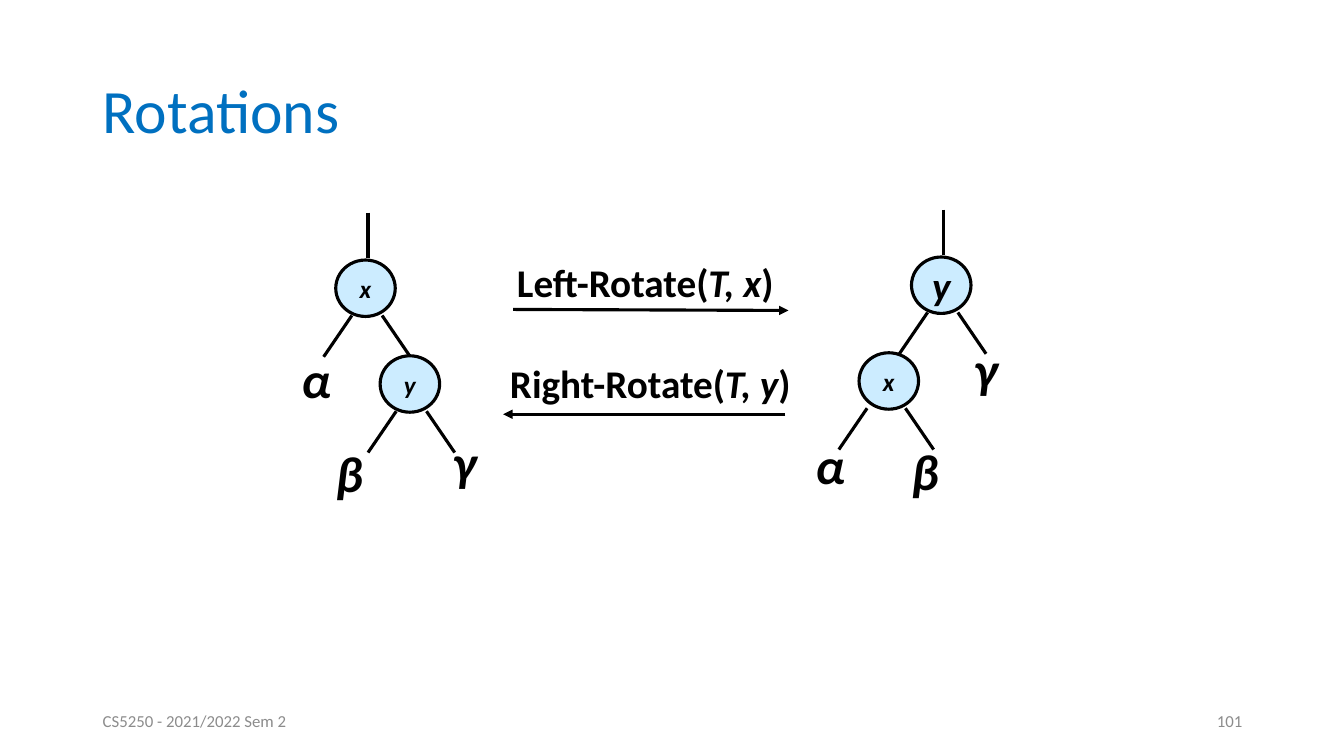
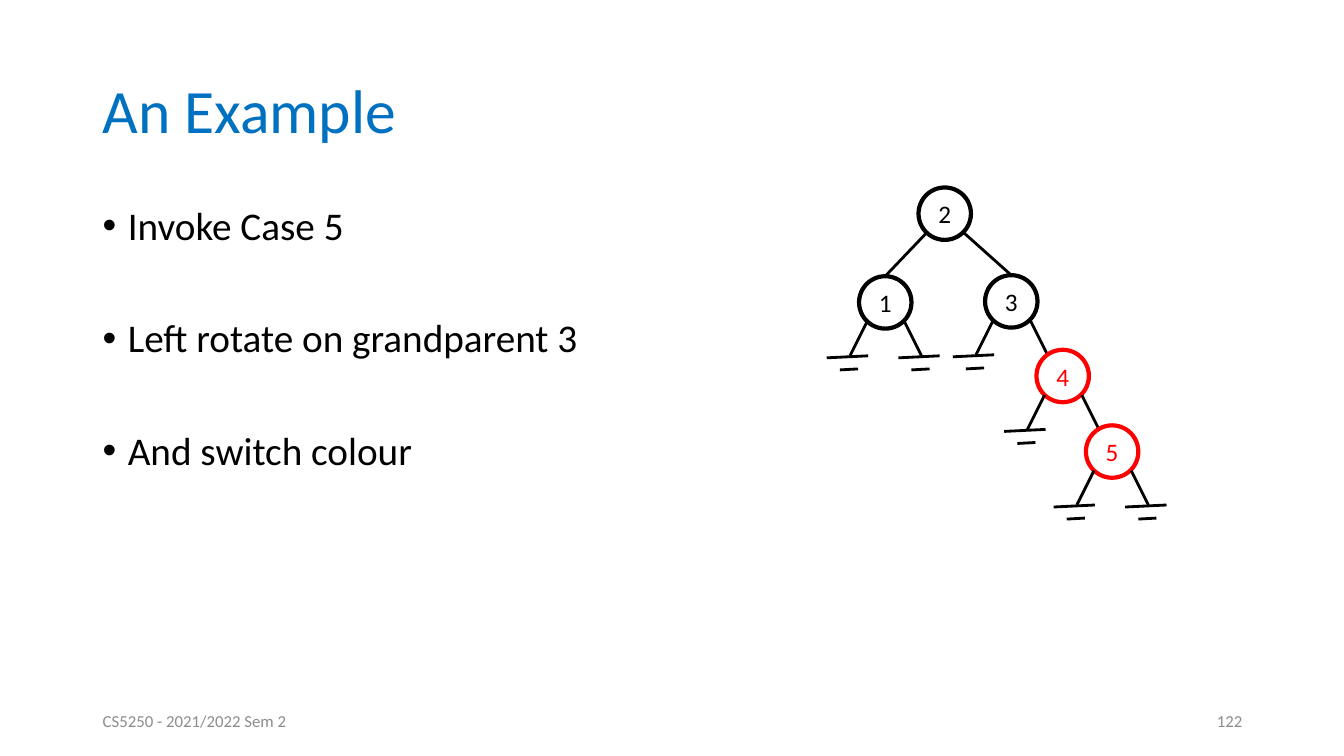
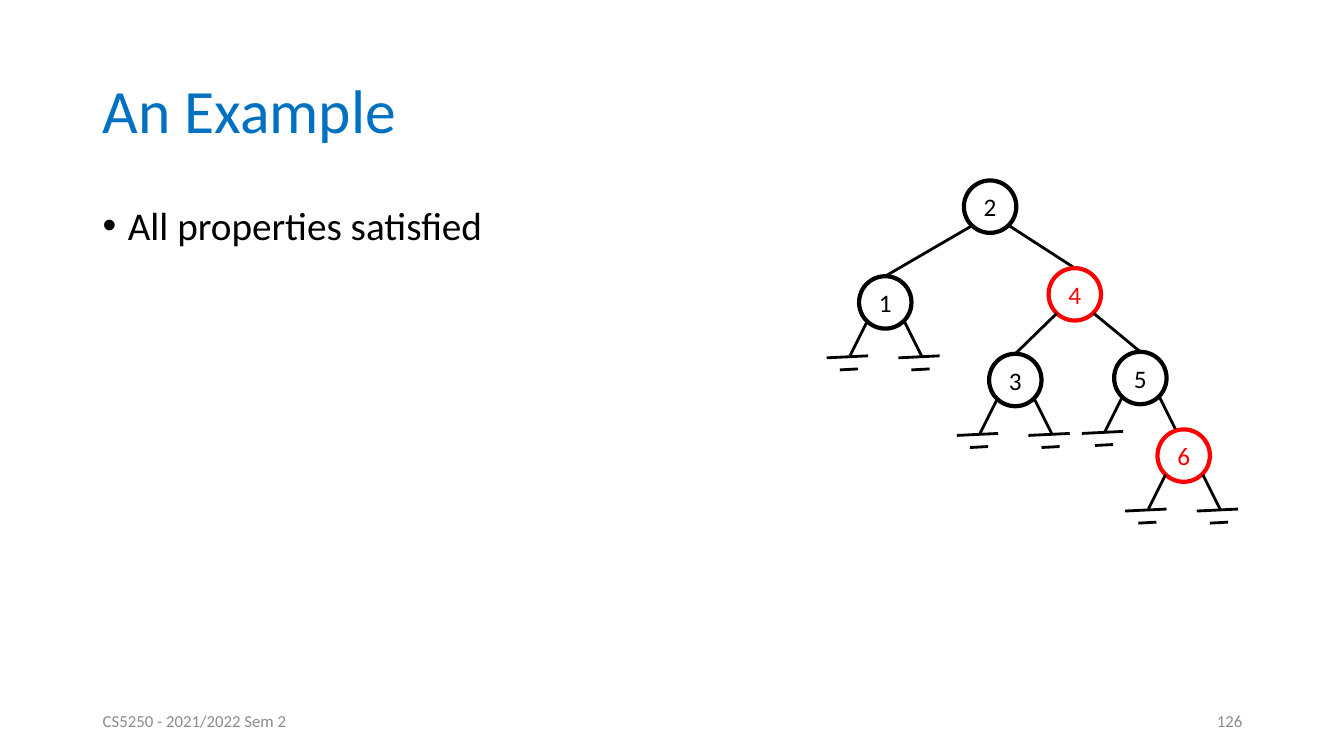
from dataclasses import dataclass

from lxml.etree import SubElement
from pptx import Presentation
from pptx.dml.color import RGBColor
from pptx.enum.shapes import MSO_CONNECTOR, MSO_SHAPE
from pptx.enum.text import MSO_ANCHOR, PP_ALIGN
from pptx.oxml.ns import qn
from pptx.util import Inches, Pt


@dataclass(frozen=True)
class Theme:
    font: str = "Calibri"
    title: str = "0070C0"
    text: str = "000000"
    muted: str = "8C8C8C"
    red: str = "FF0000"
    node_fill: str = "CCECFF"
    title_size: int = 44
    subtree_size: int = 36
    body_size: int = 28
    key_size: int = 18
    footer_size: int = 12


THEME = Theme()
FOOTER = "CS5250 - 2021/2022 Sem 2"
MARGIN, CONTENT_W = 0.92, 11.5

# Offsets from the top left corner of a tree node.
NODE_D = 0.52
LEG_TOP_Y, LEG_END_Y = 0.45, 0.79
LEGS = {"left": (0.08, -0.09), "right": (0.45, 0.62)}
TIGHT = 0.55  # a child closer than this hangs on a plain leg


def rgb(color):
    return RGBColor.from_string(color)


def add_run(p, text, size, color=THEME.text, bold=False, italic=False):
    r = p.add_run()
    r.text = text
    font = r.font
    font.name, font.size, font.bold, font.italic = THEME.font, Pt(size), bold, italic
    font.color.rgb = rgb(color)


def add_textbox(slide, x, y, w, h, anchor=MSO_ANCHOR.MIDDLE):
    tf = slide.shapes.add_textbox(Inches(x), Inches(y), Inches(w), Inches(h)).text_frame
    tf.word_wrap = True
    tf.vertical_anchor = anchor
    return tf


def add_label(slide, box, text, size, color=THEME.text, align=PP_ALIGN.LEFT, **style):
    p = add_textbox(slide, *box).paragraphs[0]
    p.alignment = align
    add_run(p, text, size, color, **style)
    return p


def add_line(slide, start, end, width=2, arrow=False):
    points = [Inches(v) for v in (*start, *end)]
    line = slide.shapes.add_connector(MSO_CONNECTOR.STRAIGHT, *points)
    line.line.color.rgb = rgb(THEME.text)
    line.line.width = Pt(width)
    if arrow:
        SubElement(line.line._ln, qn("a:tailEnd"), type="triangle")
    SubElement(line._element.spPr, qn("a:effectLst"))


def add_circle(slide, x, y, w, h, key, size, color=THEME.text, fill=None, width=3, **style):
    sp = slide.shapes.add_shape(MSO_SHAPE.OVAL, Inches(x), Inches(y), Inches(w), Inches(h))
    sp.shadow.inherit = False
    if fill:
        sp.fill.solid()
        sp.fill.fore_color.rgb = rgb(fill)
    else:
        sp.fill.background()
    sp.line.color.rgb = rgb(color)
    sp.line.width = Pt(width)
    tf = sp.text_frame
    tf.word_wrap = False
    tf.vertical_anchor = MSO_ANCHOR.MIDDLE
    p = tf.paragraphs[0]
    p.alignment = PP_ALIGN.CENTER
    add_run(p, key, size, color, **style)


def add_slide(prs, title, number):
    slide = prs.slides.add_slide(prs.slide_layouts[6])
    p = add_label(slide, (MARGIN, 0.4, CONTENT_W, 1.45), title, THEME.title_size, THEME.title)
    p.line_spacing = 0.9
    add_label(slide, (MARGIN, 6.95, 3, 0.4), FOOTER, THEME.footer_size, THEME.muted)
    add_label(slide, (MARGIN + CONTENT_W - 3, 6.95, 3, 0.4), str(number),
              THEME.footer_size, THEME.muted, PP_ALIGN.RIGHT)
    return slide


def add_bullets(slide, items):
    tf = add_textbox(slide, MARGIN, 2, CONTENT_W, 4.76, MSO_ANCHOR.TOP)
    for i, item in enumerate(items):
        p = tf.add_paragraph() if i else tf.paragraphs[0]
        pPr = p._p.get_or_add_pPr()
        pPr.set("marL", str(Inches(0.25)))
        pPr.set("indent", str(-Inches(0.25)))
        SubElement(pPr, qn("a:buFont"), typeface="Arial")
        SubElement(pPr, qn("a:buChar"), char="•")
        p.line_spacing = 0.9
        if i:
            p.space_before = Pt(50)
        add_run(p, item, THEME.body_size)


def add_ground(slide, x, y):
    """Draw the two bars of an empty leaf around the end of a leg."""
    add_line(slide, (x - 0.23, y + 0.02), (x + 0.18, y))
    add_line(slide, (x - 0.1, y + 0.14), (x + 0.08, y + 0.13))


def add_tree(slide, nodes, children, red):
    """Draw nodes {key: (x, y)}; children {key: (left, right)}, absent ones as grounds."""
    for key, (x, y) in nodes.items():
        color = THEME.red if key in red else THEME.text
        add_circle(slide, x, y, NODE_D, NODE_D, key, THEME.key_size, color)
        for (start_x, end_x), child in zip(LEGS.values(), children.get(key, (None, None))):
            end = (x + end_x, y + LEG_END_Y)
            if child is None:
                add_ground(slide, *end)
            elif abs(nodes[child][0] - x) > TIGHT:
                end = (nodes[child][0] + NODE_D / 2, nodes[child][1])
            add_line(slide, (x + start_x, y + LEG_TOP_Y), end)


def add_rotation_node(slide, x, y, key, size=THEME.key_size, left_x=0.16):
    add_circle(slide, x, y, 0.59, 0.56, key, size, fill=THEME.node_fill, width=2.25,
               bold=True, italic=True)
    for start_x, end_x in ((left_x, left_x - 0.28), (0.46, 0.74)):
        add_line(slide, (x + start_x, y + 0.55), (x + end_x, y + 0.96), 2.25)


def add_rotation_tree(slide, root, child, subtrees):
    x, y = root["x"], root["y"]
    add_line(slide, (x + 0.32, y - 0.47), (x + 0.32, y - 0.02), 2.25)
    for node in (root, child):
        add_rotation_node(slide, **node)
    for name, left, top in subtrees:
        add_label(slide, (left, top, 0.6, 0.7), name, THEME.subtree_size,
                  bold=True, italic=True)


def add_rotation_arrow(slide, name, arguments, box, start, end):
    p = add_label(slide, box, f"{name}(", THEME.body_size, align=PP_ALIGN.CENTER, bold=True)
    add_run(p, arguments, THEME.body_size, bold=True, italic=True)
    add_run(p, ")", THEME.body_size, bold=True)
    add_line(slide, start, end, 2.25, arrow=True)


def rotations_slide(prs):
    slide = add_slide(prs, "Rotations", 101)
    add_rotation_tree(slide, dict(x=3.33, y=2.58, key="x"), dict(x=3.77, y=3.53, key="y"),
                      [("α", 2.89, 3.4), ("β", 3.23, 4.34), ("γ", 4.39, 4.23)])
    add_rotation_tree(slide, dict(x=9.04, y=2.55, key="y", size=THEME.body_size),
                      dict(x=8.52, y=3.5, key="x", left_x=0.08),
                      [("α", 7.99, 4.26), ("β", 8.94, 4.32), ("γ", 9.56, 3.3)])
    add_rotation_arrow(slide, "Left-Rotate", "T, x", (4.9, 2.51, 3, 0.57),
                       (5.09, 3.07), (7.82, 3.08))
    add_rotation_arrow(slide, "Right-Rotate", "T, y", (4.85, 3.51, 3.2, 0.57),
                       (7.79, 4.11), (4.99, 4.11))


def example_slide(prs, number, bullets, nodes, children, red):
    slide = add_slide(prs, "An Example", number)
    add_bullets(slide, bullets)
    add_tree(slide, nodes, children, red)


def main():
    prs = Presentation()
    prs.slide_width, prs.slide_height = Inches(13.33), Inches(7.5)
    rotations_slide(prs)
    example_slide(
        prs, 122,
        ["Invoke Case 5", "Left rotate on grandparent 3", "And switch colour"],
        nodes={"1": (8.52, 2.74), "2": (9.11, 1.86), "3": (9.77, 2.73),
               "4": (10.28, 3.47), "5": (10.77, 4.22)},
        children={"2": ("1", "3"), "3": (None, "4"), "4": (None, "5")},
        red="45")
    example_slide(
        prs, 126,
        ["All properties satisfied"],
        nodes={"1": (8.52, 2.74), "2": (9.56, 1.79), "3": (9.81, 3.51),
               "4": (10.4, 2.66), "5": (11.05, 3.49), "6": (11.48, 4.26)},
        children={"2": ("1", "4"), "4": ("3", "5"), "5": (None, "6")},
        red="46")
    prs.save("out.pptx")


if __name__ == "__main__":
    main()
